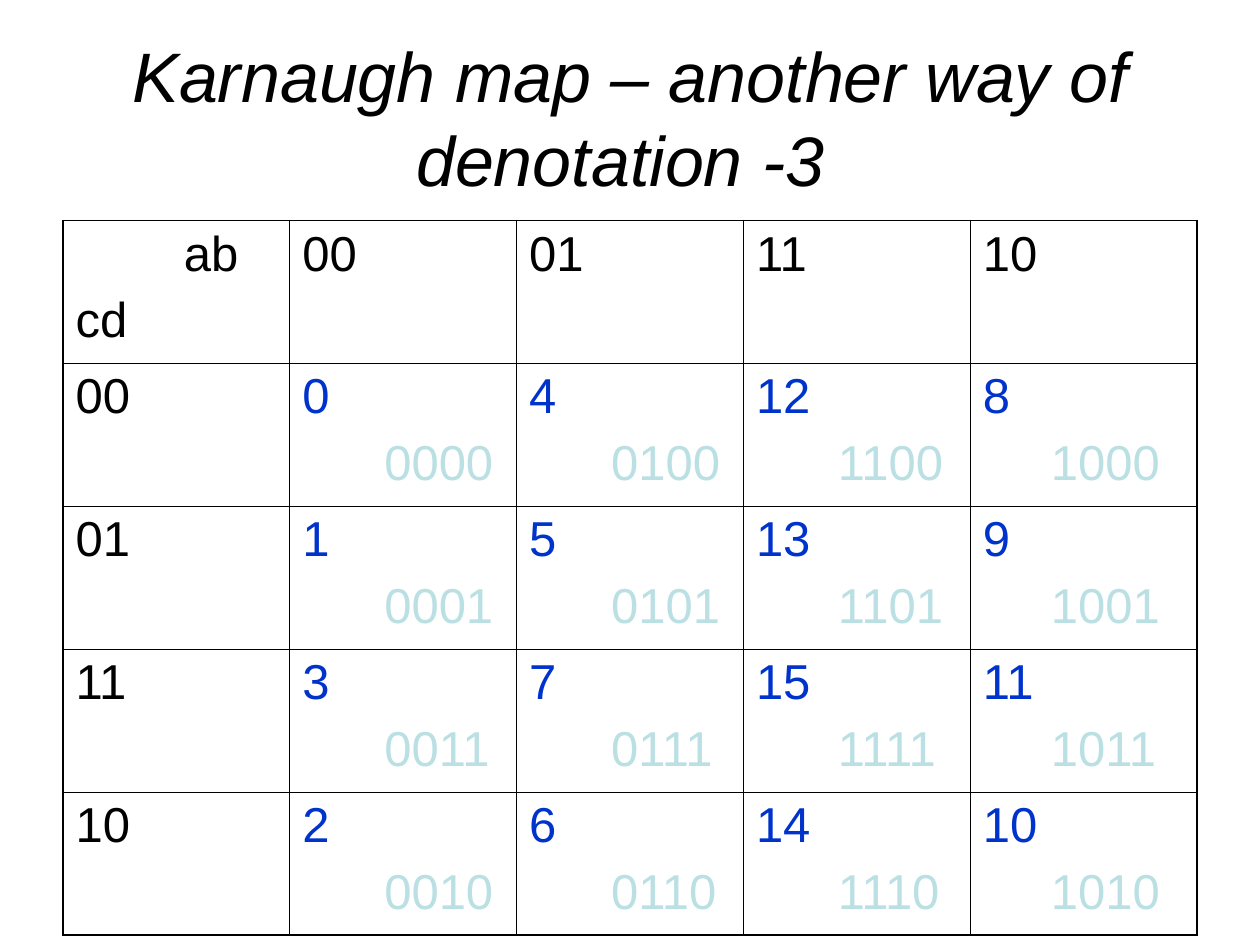
from lxml import etree
from pptx import Presentation
from pptx import util as u
from pptx.dml.color import RGBColor
from pptx.enum import text
from pptx.oxml import ns

GRAY_CODE = ["00", "01", "11", "10"]
BLACK, BLUE, PALE = "000000", "0033CC", "BBE0E3"
THIN, THICK = 0.45, 1.08


def color(hex_string):
    return RGBColor.from_string(hex_string)


class SlideBuilder:
    font_name = "Arial"
    title_size = 40
    cell_size = 28

    def __init__(self, presentation):
        self.slide = presentation.slides.add_slide(presentation.slide_layouts[5])

    def style(self, paragraph, size, hex_string, italic=False):
        font = paragraph.font
        font.name, font.size, font.italic = self.font_name, u.Pt(size), italic
        font.color.rgb = color(hex_string)

    def title(self, wording, left, top, width, height):
        shape = self.slide.shapes.title
        shape.left, shape.top = u.Inches(left), u.Inches(top)
        shape.width, shape.height = u.Inches(width), u.Inches(height)
        frame = shape.text_frame
        frame.text = wording
        frame.word_wrap = True
        frame.auto_size = text.MSO_AUTO_SIZE.NONE
        frame.vertical_anchor = text.MSO_ANCHOR.MIDDLE
        paragraph = frame.paragraphs[0]
        paragraph.alignment = text.PP_ALIGN.CENTER
        self.style(paragraph, self.title_size, BLACK, italic=True)

    def table(self, rows, left, top, width, height):
        """Draw rows of cells; each cell lists (wording, colour, indent) lines."""
        row_count, column_count = len(rows), len(rows[0])
        table = self.slide.shapes.add_table(
            row_count, column_count, u.Inches(left), u.Inches(top),
            u.Inches(width), u.Inches(height)).table
        table.first_row = table.horz_banding = False
        for r, row in enumerate(rows):
            for c, lines in enumerate(row):
                cell = table.cell(r, c)
                self.cell_text(cell, lines)
                outer_sides = {"lnL": c == 0, "lnR": c == column_count - 1,
                               "lnT": r == 0, "lnB": r == row_count - 1}
                for side, outer in outer_sides.items():
                    self.cell_border(cell, side, THICK if outer else THIN)
                cell.fill.background()

    def cell_text(self, cell, lines):
        frame = cell.text_frame
        for index, (wording, hex_string, indent) in enumerate(lines):
            paragraph = frame.add_paragraph() if index else frame.paragraphs[0]
            paragraph.text = wording
            paragraph.space_before = u.Pt(7)
            self.style(paragraph, self.cell_size, hex_string)
            if indent:
                properties = paragraph._p.get_or_add_pPr()
                properties.set("marL", str(u.Inches(indent)))

    def cell_border(self, cell, side, points):
        properties = cell._tc.get_or_add_tcPr()
        line = etree.SubElement(properties, ns.qn(f"a:{side}"), w=str(u.Pt(points)))
        fill = etree.SubElement(line, ns.qn("a:solidFill"))
        etree.SubElement(fill, ns.qn("a:srgbClr"), val=BLACK)


def minterm_lines(ab, cd):
    bits = ab + cd
    indent = 0.54 if ab == "10" else 0.65
    return [(str(int(bits, 2)), BLUE, 0), (bits, PALE, indent)]


def karnaugh_rows():
    corner = [("ab", BLACK, 0.86), ("cd", BLACK, 0)]
    rows = [[corner] + [[(ab, BLACK, 0)] for ab in GRAY_CODE]]
    for cd in GRAY_CODE:
        rows.append([[(cd, BLACK, 0)]] + [minterm_lines(ab, cd) for ab in GRAY_CODE])
    return rows


def main():
    presentation = Presentation()
    presentation.slide_width, presentation.slide_height = u.Inches(10), u.Inches(7.5)
    builder = SlideBuilder(presentation)
    builder.title("Karnaugh map – another way of denotation -3 ", 0.5, 0.3, 9, 1.25)
    builder.table(karnaugh_rows(), 0.5, 1.75, 9, 5.67)
    presentation.save("out.pptx")


if __name__ == "__main__":
    main()
